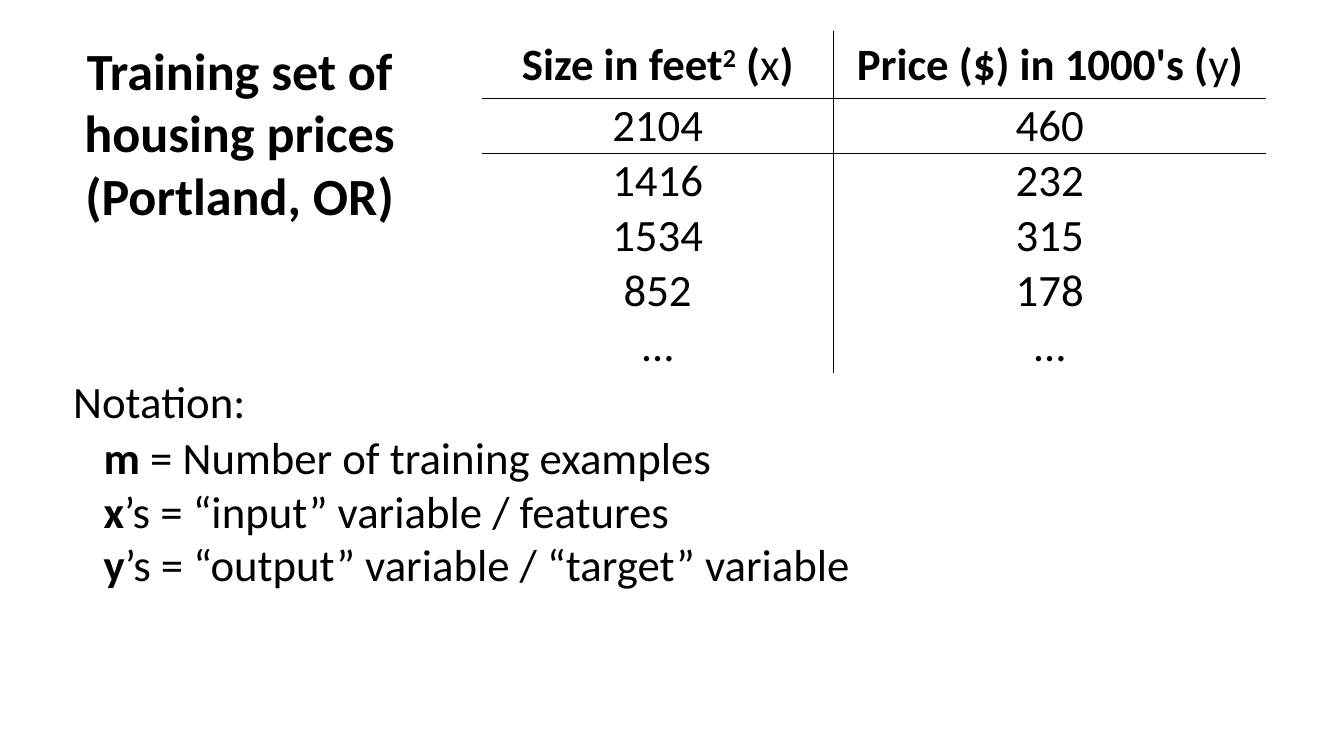
import pptx
import pptx.util
import pptx.dml.color
import pptx.enum.text
import pptx.oxml
import pptx.oxml.ns

Pt = pptx.util.Pt
BLACK = pptx.dml.color.RGBColor(0, 0, 0)
CENTER = pptx.enum.text.PP_ALIGN.CENTER
ANCHOR = pptx.enum.text.MSO_ANCHOR
NO_GRID_STYLE = "{2D5ABB26-0587-4C30-8999-92F81FD0307C}"


def add_runs(paragraph, runs, size):
    for text, bold in runs:
        run = paragraph.add_run()
        run.text = text
        run.font.name = "Calibri"
        run.font.size = Pt(size)
        run.font.bold = bold
        run.font.color.rgb = BLACK


def add_text_frame(left, top, width, height):
    frame = slide.shapes.add_textbox(Pt(left), Pt(top), Pt(width), Pt(height)).text_frame
    frame.word_wrap = True
    frame.margin_left = frame.margin_right = Pt(4.8)
    frame.margin_top = frame.margin_bottom = Pt(4.8)
    return frame


presentation = pptx.Presentation()
presentation.slide_width = Pt(960)
presentation.slide_height = Pt(540)
slide = presentation.slides.add_slide(presentation.slide_layouts[6])

notation = add_text_frame(47.5, 262, 575, 164)
add_runs(notation.paragraphs[0], [("Notation:", False)], 32)
definitions = [
    ("m", " = Number of training examples"),
    ("x", "’s = “input” variable / features"),
    ("y", "’s = “output” variable / “target” variable"),
]
for number, (symbol, meaning) in enumerate(definitions):
    definition = notation.add_paragraph()
    definition._p.get_or_add_pPr().set("marL", str(Pt(21.7)))
    if number == 0:
        definition.space_before = Pt(1.6)
    add_runs(definition, [(symbol, True), (meaning, False)], 32)

size_heading = [("Size in feet", True), ("2", True), (" (", True), ("x", False), (")", True)]
price_heading = [("Price ($) in 1000's (", True), ("y", False), (")", True)]
houses = [("2104", "460"), ("1416", "232"), ("1534", "315"), ("852", "178"), ("…", "…")]
rows = [(size_heading, price_heading)]
rows += [([(size, False)], [(price, False)]) for size, price in houses]

housing = slide.shapes.add_table(len(rows), 2, Pt(344.2), Pt(22.3), Pt(560.2), Pt(244)).table
housing.horz_banding = False
housing._tbl.tblPr.find(pptx.oxml.ns.qn("a:tableStyleId")).text = NO_GRID_STYLE
for column, width in zip(housing.columns, (251.2, 309)):
    column.width = Pt(width)

for row_index, row in enumerate(rows):
    housing.rows[row_index].height = Pt(39.2 if row_index else 48)
    for column_index, runs in enumerate(row):
        cell = housing.cell(row_index, column_index)
        cell.margin_left = cell.margin_right = cell.margin_top = Pt(0.7)
        cell.margin_bottom = Pt(0)
        cell.vertical_anchor = ANCHOR.BOTTOM if row_index else ANCHOR.MIDDLE
        paragraph = cell.text_frame.paragraphs[0]
        paragraph.alignment = CENTER
        add_runs(paragraph, runs, 32)
        borders = {
            "lnL": column_index == 1,
            "lnR": column_index == 0,
            "lnT": row_index in (1, 2),
            "lnB": row_index in (0, 1),
        }
        for side, visible in borders.items():
            fill = f'<a:solidFill><a:srgbClr val="{BLACK}"/></a:solidFill>' if visible else "<a:noFill/>"
            cell._tc.get_or_add_tcPr().append(pptx.oxml.parse_xml(
                f'<a:{side} {pptx.oxml.ns.nsdecls("a")} w="{Pt(1)}">{fill}</a:{side}>'))
        cell.fill.background()

exponent = housing.cell(0, 0).text_frame.paragraphs[0].runs[1]
exponent.font._element.set("baseline", "30000")

title = add_text_frame(51.8, 22.3, 239, 143.3)
title.word_wrap = False
for number, line in enumerate(["Training set of", "housing prices", "(Portland, OR)"]):
    paragraph = title.add_paragraph() if number else title.paragraphs[0]
    paragraph.alignment = CENTER
    add_runs(paragraph, [(line, True)], 37.3)

presentation.save("out.pptx")
